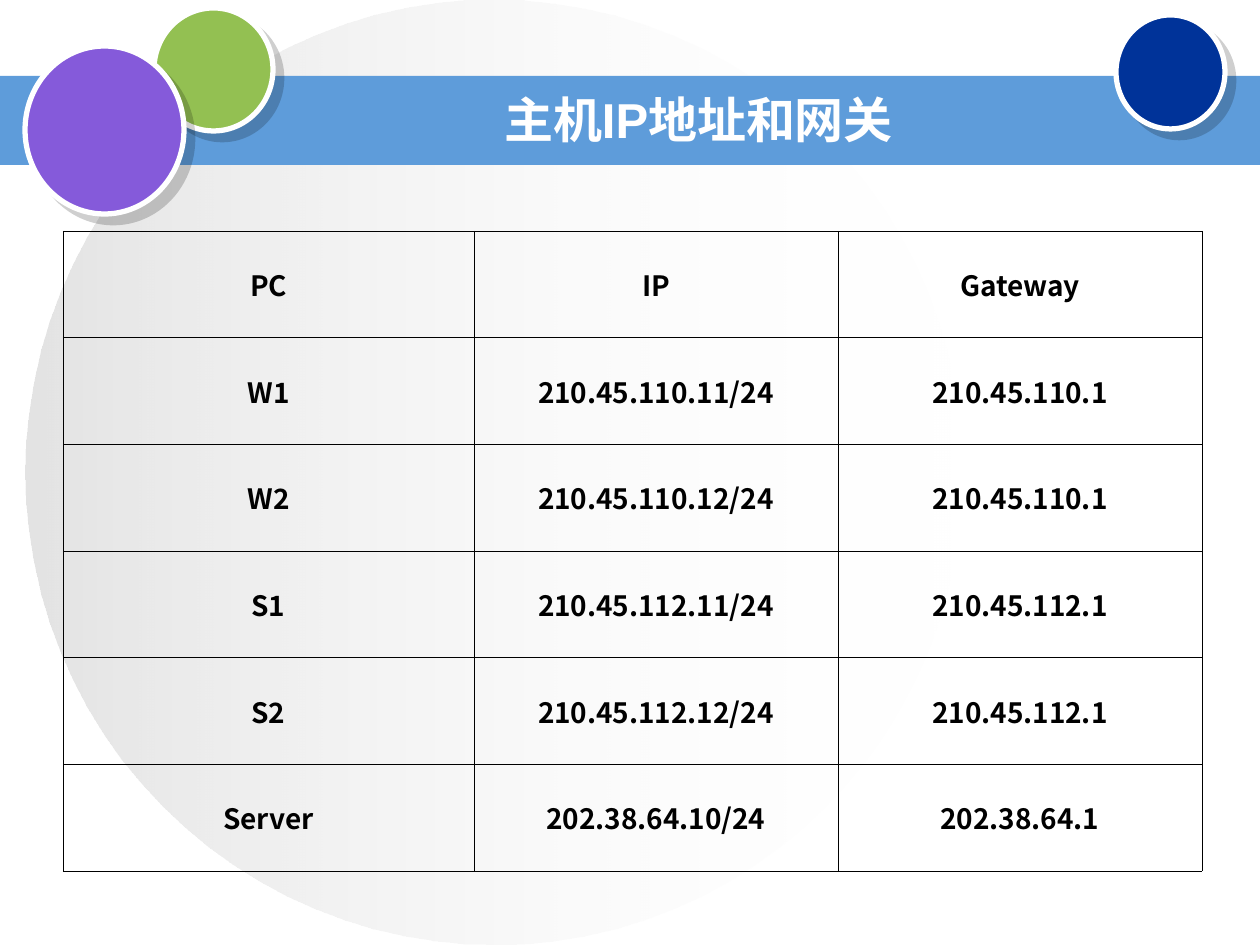
from lxml.etree import SubElement
from pptx import Presentation
from pptx.dml.color import RGBColor
from pptx.enum.shapes import MSO_SHAPE as SHAPE
from pptx.enum.text import MSO_ANCHOR as ANCHOR, MSO_AUTO_SIZE as AUTO, PP_ALIGN as ALIGN
from pptx.oxml.ns import qn
from pptx.util import Emu, Pt

SCALE = 914400 / 126
WHITE, BLACK = "FFFFFF", "000000"
CJK = "Noto Sans CJK SC"
BADGES = [
    ((154, 8, 119, 123), "93C052"),
    ((1116, 15, 109, 114), "003399"),
    ((25, 46, 159, 168), "855ADA"),
]
COL_WIDTHS = [411, 364, 364]
ROWS = [
    ("PC", "IP", "Gateway"),
    ("W1", "210.45.110.11/24", "210.45.110.1"),
    ("W2", "210.45.110.12/24", "210.45.110.1"),
    ("S1", "210.45.112.11/24", "210.45.112.1"),
    ("S2", "210.45.112.12/24", "210.45.112.1"),
    ("Server", "202.38.64.10/24", "202.38.64.1"),
]


def px(n):
    return Emu(round(n * SCALE))


def rgb(value):
    return RGBColor.from_string(value)


def set_attrs(obj, values):
    for name, value in values.items():
        setattr(obj, name, value)


def add_child(parent, tag, **attrs):
    child = SubElement(parent, qn(tag))
    for name, value in attrs.items():
        child.set(name, str(value))
    return child


def write(tf, text, size, font, color, before=0):
    p = tf.paragraphs[0]
    set_attrs(p, {"alignment": ALIGN.CENTER, "space_before": Pt(before)})
    r = p.add_run()
    r.text = text
    set_attrs(r.font, {"size": Pt(size), "name": font, "bold": True})
    r.font.color.rgb = rgb(color)
    add_child(r._r.get_or_add_rPr(), "a:ea", typeface=CJK)


def add_plain(slide, kind, box, color=None):
    sp = slide.shapes.add_shape(kind, *map(px, box))
    sp.shadow.inherit = False
    sp.line.fill.background()
    if color:
        sp.fill.solid()
        sp.fill.fore_color.rgb = rgb(color)
    return sp


def add_backdrop(slide):
    sp = add_plain(slide, SHAPE.OVAL, (25, 0, 937, 945))
    sp.fill.gradient()
    sp.fill.gradient_angle = 0
    stops = [(0, "C0C0C0", 44), (1, WHITE, 0)]
    for stop, (position, color, opacity) in zip(sp.fill.gradient_stops, stops):
        stop.position = position
        stop.color.rgb = rgb(color)
        add_child(stop._gs.find(qn("a:srgbClr")), "a:alpha", val=opacity * 1000)


def add_badge(slide, box, color):
    sp = add_plain(slide, SHAPE.OVAL, box, color)
    sp.line.color.rgb = rgb(WHITE)
    sp.line.width = Pt(3)
    effects = sp._element.spPr.find(qn("a:effectLst"))
    shadow = add_child(effects, "a:outerShdw", dist=Pt(7.1), dir=45 * 60000,
                       algn="ctr", rotWithShape=0)
    shade = add_child(shadow, "a:srgbClr", val=BLACK)
    add_child(shade, "a:alpha", val=19000)


def add_borders(cell):
    tcPr = cell._tc.get_or_add_tcPr()
    for side in ("L", "R", "T", "B"):
        ln = add_child(tcPr, f"a:ln{side}", w=Pt(0.23))
        add_child(add_child(ln, "a:solidFill"), "a:srgbClr", val=BLACK)


def add_host_table(slide):
    height = 640
    box = (63, 231, sum(COL_WIDTHS), height)
    table = slide.shapes.add_table(len(ROWS), len(COL_WIDTHS), *map(px, box)).table
    set_attrs(table, {"first_row": False, "horz_banding": False})
    for col, width in zip(table.columns, COL_WIDTHS):
        col.width = px(width)
    for row, texts in zip(table.rows, ROWS):
        row.height = px(height / len(ROWS))
        for cell, text in zip(row.cells, texts):
            cell.vertical_anchor = ANCHOR.MIDDLE
            add_borders(cell)
            cell.fill.background()
            write(cell.text_frame, text, 16, CJK, BLACK, before=4)


def add_title(slide, text):
    sp = slide.shapes.title
    slide.shapes._spTree.append(sp._element)
    box = map(px, (284, 85, 829, 67))
    set_attrs(sp, dict(zip(("left", "top", "width", "height"), box)))
    tf = sp.text_frame
    set_attrs(tf, {"vertical_anchor": ANCHOR.MIDDLE, "word_wrap": True,
                   "auto_size": AUTO.NONE})
    write(tf, text, 28, "Arial", WHITE)


def main():
    prs = Presentation()
    set_attrs(prs, {"slide_width": px(1260), "slide_height": px(945)})
    slide = prs.slides.add_slide(prs.slide_layouts[5])
    add_backdrop(slide)
    add_plain(slide, SHAPE.RECTANGLE, (0, 76, 1260, 89), "5E9CDA")
    for box, color in BADGES:
        add_badge(slide, box, color)
    add_host_table(slide)
    add_title(slide, "主机IP地址和网关")
    prs.save("out.pptx")


if __name__ == "__main__":
    main()
